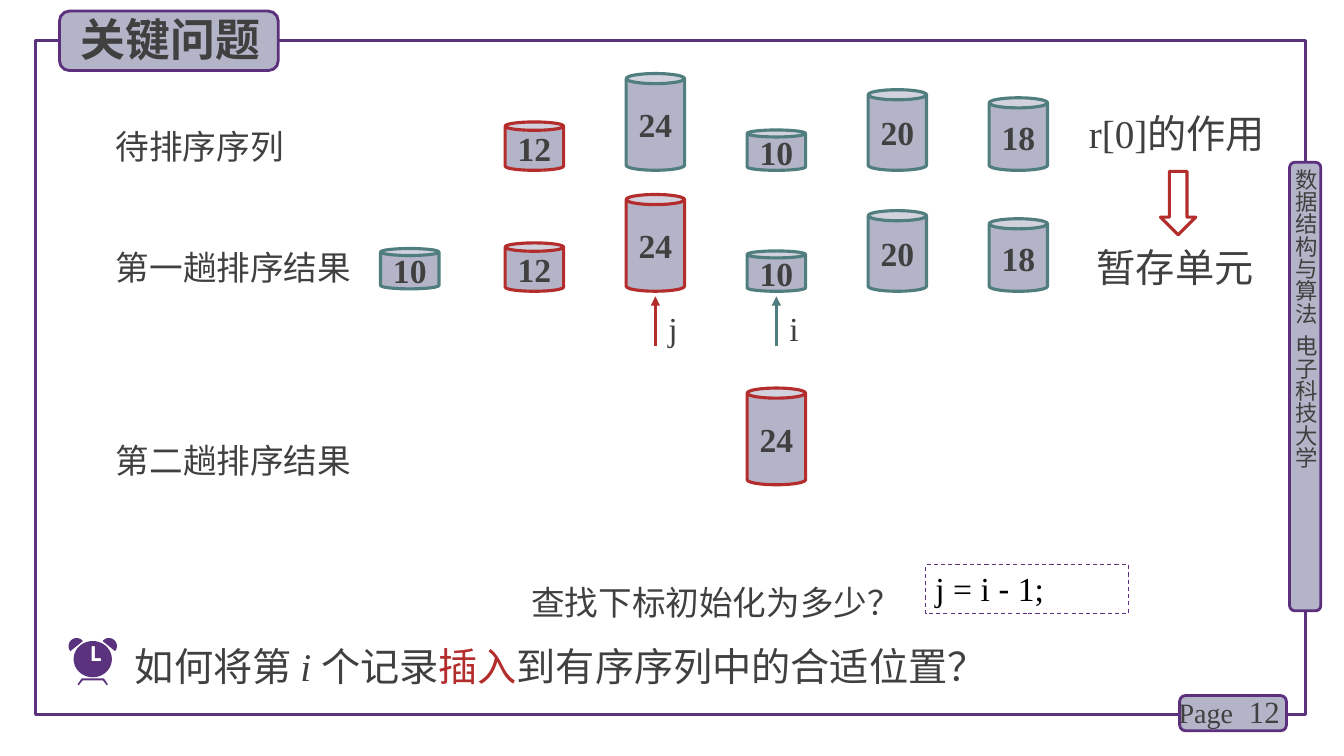
from dataclasses import dataclass
from math import cos, radians, sin

from lxml.etree import SubElement
from pptx import Presentation
from pptx.dml.color import RGBColor
from pptx.enum.dml import MSO_LINE
from pptx.enum.shapes import MSO_CONNECTOR, MSO_SHAPE as SHAPE
from pptx.enum.text import MSO_ANCHOR as ANCHOR, MSO_AUTO_SIZE, PP_ALIGN as ALIGN
from pptx.oxml.ns import qn
from pptx.util import Inches, Pt


@dataclass(frozen=True)
class Theme:
    panel: str = "B4B4C8"
    purple: str = "5A327D"
    border: str = "5C307D"
    teal: str = "507D7D"
    red: str = "B42D2D"
    ink: str = "404040"
    black: str = "000000"
    serif: str = "Times New Roman"
    sans: str = "Arial"
    cjk: str = "Noto Sans CJK SC"
    title: int = 32
    large: int = 28
    body: int = 24
    number: int = 22
    page: int = 20
    side: int = 16


T = Theme()
W, H = 13.33, 7.5
COL0, ROW0, PITCH = 5.01, 1.69, 1.2
CAN_W, UNIT = 0.58, 0.04

TITLE = "关键问题"
ROW_LABELS = [("待排序序列", 0, 2.03), ("第一趟排序结果", 1, 2.75), ("第二趟排序结果", 2.6, 2.75)]
CANS = [
    (24, 1, 0, T.teal), (20, 3, 0, T.teal), (10, 2, 0, T.teal), (18, 4, 0, T.teal), (12, 0, 0, T.red),
    (24, 1, 1, T.red), (20, 3, 1, T.teal), (10, 2, 1, T.teal), (18, 4, 1, T.teal), (12, 0, 1, T.red),
    (24, 2, 2.6, T.red), (10, -1.03, 0.98, T.teal),
]
INDEXES = [("i", 2, T.teal), ("j", 1, T.red)]
BADGES = [(12.79, 1.61, 0.31, 4.45), (11.7, 6.9, 1.06, 0.35), (0.59, 0.11, 2.17, 0.59)]
SIDE = "数据结构与算法  电子科技大学"
INIT_QUESTION = "查找下标初始化为多少？"
INIT_ANSWER = [("j = i ", {}), ("-", {"name": T.sans}), (" 1;", {})]
INSERT_QUESTION = [
    ("如何将第 ", {}), ("i ", {"italic": True}), ("个记录", {}),
    ("插入", {"color": T.red}), ("到有序序列中的合适位置？", {}),
]
CLOCK_X, CLOCK_Y = 0.92, 6.54
FEET = [(0.15, 0.25), (0.11, 0.19), (-0.11, 0.19), (-0.15, 0.25), (-0.14, 0.26),
        (-0.1, 0.21), (0.1, 0.21), (0.14, 0.26)]
HANDS = [(-0.01, -0.13), (-0.01, 0.02), (0.08, 0.02), (0.08, -0.01), (0.02, -0.01), (0.02, -0.13)]

prs = Presentation()
prs.slide_width, prs.slide_height = Inches(W), Inches(H)
s = prs.slides.add_slide(prs.slide_layouts[5])


def rgb(color):
    return RGBColor.from_string(color)


def place(box):
    return [Inches(v) for v in box]


def shape(kind, box, line, width=2.25, fill=None):
    sp = s.shapes.add_shape(kind, *place(box))
    sp.shadow.inherit = False
    if fill:
        sp.fill.solid()
        sp.fill.fore_color.rgb = rgb(fill)
    else:
        sp.fill.background()
    sp.line.color.rgb = rgb(line)
    sp.line.width = Pt(width)
    return sp


def write(sp, content, size, color=T.ink, font=T.serif, bold=False,
          align=ALIGN.LEFT, anchor=ANCHOR.TOP, wrap=True, spacing=None):
    tf = sp.text_frame
    tf.word_wrap, tf.vertical_anchor, tf.auto_size = wrap, anchor, MSO_AUTO_SIZE.NONE
    p = tf.paragraphs[0]
    p.alignment, p.line_spacing = align, spacing
    p.font.size, p.font.bold, p.font.name = Pt(size), bold, font
    p.font.color.rgb = rgb(color)
    for text, style in [(content, {})] if isinstance(content, str) else content:
        r = p.add_run()
        r.text = text
        SubElement(r.font._element, qn("a:ea")).set("typeface", T.cjk)
        if "name" in style:
            r.font.name = style["name"]
        if "italic" in style:
            r.font.italic = True
        if "color" in style:
            r.font.color.rgb = rgb(style["color"])
    return sp


def label(box, content, size, **style):
    return write(s.shapes.add_textbox(*place(box)), content, size, **style)


def arrow(x, y1, y2, color):
    ln = s.shapes.add_connector(MSO_CONNECTOR.STRAIGHT, *place((x, y1, x, y2)))
    ln.line.color.rgb = rgb(color)
    ln.line.width = Pt(2.25)
    SubElement(ln.line._get_or_add_ln(), qn("a:tailEnd")).set("type", "triangle")
    SubElement(ln._element.spPr, qn("a:effectLst"))


def arc(cx, cy, rx, ry, start, stop, step):
    return [(cx + rx * cos(radians(a)), cy + ry * sin(radians(a))) for a in range(start, stop, step)]


def clock_part(*outlines):
    points = [[(Inches(CLOCK_X + x), Inches(CLOCK_Y + y)) for x, y in o] for o in outlines]
    fb = s.shapes.build_freeform(*points[0][0])
    for i, outline in enumerate(points):
        if i:
            fb.move_to(*outline[0])
        fb.add_line_segments(outline[1:], close=True)
    sp = fb.convert_to_shape()
    sp.shadow.inherit = False
    sp.fill.solid()
    sp.fill.fore_color.rgb = rgb(T.purple)
    sp.line.fill.background()


def col(n):
    return COL0 + PITCH * n


def base(n):
    return ROW0 + PITCH * n


shape(SHAPE.RECTANGLE, (0.35, 0.4, 12.6, 6.69), T.purple)
for badge in BADGES:
    shape(SHAPE.ROUNDED_RECTANGLE, badge, T.border, 2, T.panel)

side = label((12.82, 1.67, 0.27, 4.49), SIDE, T.side, font=T.cjk)
side.text_frame._txBody.bodyPr.set("vert", "eaVert")
tf = side.text_frame
tf.margin_left = tf.margin_right = tf.margin_top = tf.margin_bottom = 0
label((11.87, 6.86, 0.92, 0.4), "12", T.number, align=ALIGN.RIGHT, anchor=ANCHOR.MIDDLE)
label((11.59, 6.85, 1.28, 0.44), "Page", T.page)

title = s.shapes.title
title.left, title.top, title.width, title.height = place((0.7, 0.07, 2.1, 0.64))
write(title, TITLE, T.title, font=T.cjk, bold=True)
s.shapes._spTree.append(title._element)

for value, c, row, line in CANS:
    h = value * UNIT
    can = shape(SHAPE.CAN, (col(c), base(row) - h, CAN_W, h), line, fill=T.panel)
    can.adjustments[0] = 0.173
    write(can, str(value), T.body, bold=True, align=ALIGN.CENTER, anchor=ANCHOR.MIDDLE, wrap=False)

for text, row, width in ROW_LABELS:
    label((1.05, base(row) - 0.49, width, 0.5), text, T.body, font=T.cjk)

for name, c, color in INDEXES:
    x = col(c) + CAN_W / 2
    arrow(x, base(1) + 0.54, base(1) + 0.05, color)
    label((x + 0.03, base(1) + 0.12, 0.31, 0.5), name, T.body)

clock_part(FEET)
left_ear = arc(-0.16, -0.13, 0.08, 0.08, 141, 331, 10)
clock_part(left_ear)
clock_part([(-x, y) for x, y in left_ear])
clock_part(arc(0, 0, 0.19, 0.18, 0, 360, 10), HANDS)

label((5.17, 5.6, 4.11, 0.57), INIT_QUESTION, T.body, spacing=1.3)
answer = shape(SHAPE.RECTANGLE, (9.18, 5.6, 2.01, 0.49), T.border, 0.75)
answer.line.dash_style = MSO_LINE.DASH
write(answer, INIT_ANSWER, T.body, color=T.black, spacing=Pt(28))
label((1.24, 6.18, 9.62, 0.71), INSERT_QUESTION, T.large, spacing=1.3)

label((10.7, 1.04, 1.98, 0.57), "r[0]的作用", T.large)
label((10.78, 2.36, 1.87, 0.57), "暂存单元", T.large)
shape(SHAPE.RIGHT_ARROW, (11.37, 1.84, 0.63, 0.35), T.red).rotation = 90

prs.save("out.pptx")
